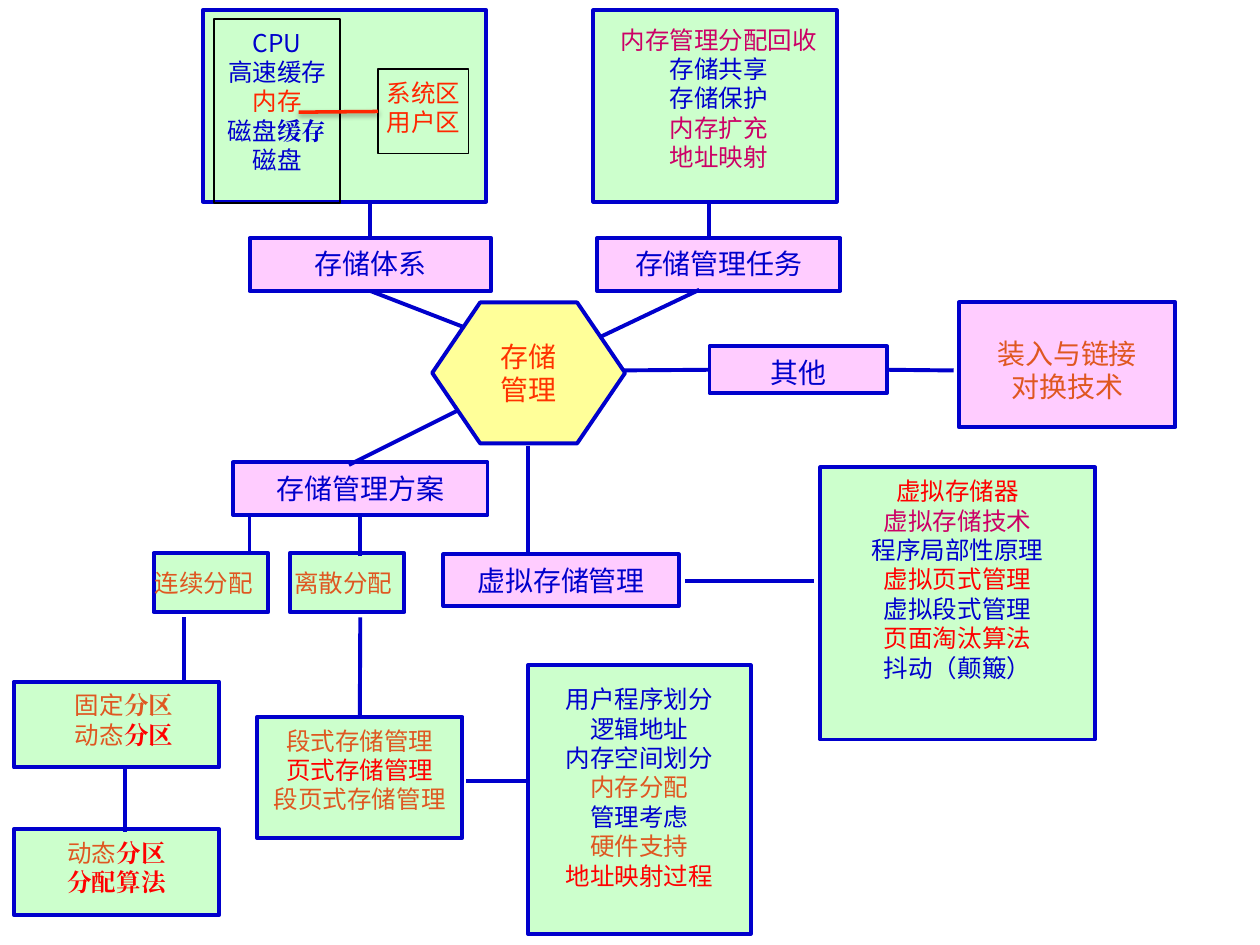
from dataclasses import dataclass
from typing import NamedTuple, Optional, Union

from lxml import etree
from pptx import Presentation
from pptx.dml.color import RGBColor
from pptx.enum.shapes import MSO_CONNECTOR, MSO_SHAPE
from pptx.enum.text import MSO_ANCHOR, PP_ALIGN
from pptx.oxml.ns import qn
from pptx.util import Pt

RECTANGLE, HEXAGON = MSO_SHAPE.RECTANGLE, MSO_SHAPE.HEXAGON
STRAIGHT = MSO_CONNECTOR.STRAIGHT
TOP_ANCHOR, MIDDLE_ANCHOR = MSO_ANCHOR.TOP, MSO_ANCHOR.MIDDLE
CENTER = PP_ALIGN.CENTER
TOP, LEFT, BOTTOM, RIGHT = range(4)

BLUE, ORANGE, RED = "0000CC", "DF5721", "FF0000"
MAGENTA, SCARLET, VERMILION, BLACK = "CC0066", "FF2600", "FF3300", "000000"
GREEN, PINK, YELLOW = "CCFFCC", "FFCCFF", "FFFF99"
BODY_FONT, BOLD_FONT = "Noto Sans CJK SC", "Times New Roman"
LINE_HEIGHT = 1.2


class Run(NamedTuple):
    text: str
    color: str
    bold: bool = False


class Site(NamedTuple):
    box: str
    side: int


class Point(NamedTuple):
    x: float
    y: float


@dataclass
class Box:
    left: float
    top: float
    width: float
    height: float
    fill: Optional[str]
    lines: tuple = ()
    size: int = 14
    inset_top: float = 5
    inset_left: float = 3.6
    inset_right: float = 3.6
    outline: str = BLUE
    weight: float = 2.25
    preset: int = RECTANGLE
    anchor: int = TOP_ANCHOR


@dataclass
class Link:
    start: Union[Point, Site]
    end: Union[Point, Site]
    color: str = BLUE
    weight: float = 2.25
    shadow: bool = False


def plain(color: str, *texts: str) -> tuple:
    """One single-run line per text, all in one colour."""
    return tuple((Run(text, color),) for text in texts)


def topic(left: float, top: float, width: float, height: float, text: str) -> Box:
    return Box(left, top, width, height, PINK, plain(BLUE, text), size=16)


BOXES = {
    "paging": Box(146.9, 409.7, 117.4, 69.1, GREEN, plain(ORANGE, "段式存储管理")
                  + plain(RED, "页式存储管理") + plain(ORANGE, "段页式存储管理")),
    "virtual topics": Box(468.7, 267.1, 157, 155.5, GREEN,
                          plain(RED, "虚拟存储器") + plain(MAGENTA, "虚拟存储技术")
                          + plain(BLUE, "程序局部性原理") + plain(RED, "虚拟页式管理")
                          + plain(BLUE, "虚拟段式管理") + plain(RED, "页面淘汰算法")
                          + plain(BLUE, "抖动（颠簸）")),
    "paging topics": Box(301.7, 380.2, 127.4, 153.4, GREEN,
                         plain(BLUE, "用户程序划分", "逻辑地址", "内存空间划分")
                         + plain(ORANGE, "内存分配") + plain(BLUE, "管理考虑")
                         + plain(ORANGE, "硬件支持") + plain(RED, "地址映射过程"),
                         inset_top=10.8),
    "other topics": Box(547.9, 172.8, 123.8, 71.3, PINK,
                        plain(ORANGE, "装入与链接", "对换技术"), size=16, inset_top=19.4),
    "hierarchy frame": Box(115.9, 5.8, 162, 109.4, GREEN),
    "hierarchy levels": Box(122.4, 10.8, 72, 105.1, None,
                            plain(BLUE, "CPU", "高速缓存") + plain(SCARLET, "内存")
                            + ((Run("磁盘", BLUE), Run("缓存", BLUE, True)),)
                            + plain(BLUE, "磁盘"), outline=BLACK, weight=1),
    "memory areas": Box(216, 39.6, 51.8, 48.2, None,
                        plain(SCARLET, "系统区", "用户区"), outline=BLACK, weight=1),
    "tasks list": Box(339.1, 5.8, 139, 109.4, GREEN,
                      plain(MAGENTA, "内存管理分配回收") + plain(BLUE, "存储共享", "存储保护")
                      + plain(MAGENTA, "内存扩充", "地址映射"), inset_top=8.2, inset_left=8),
    "hierarchy": topic(142.6, 136.1, 138.2, 30.2, "存储体系"),
    "tasks": topic(341.3, 136.1, 139, 30.2, "存储管理任务"),
    "schemes": topic(133.2, 264.2, 145.4, 30.2, "存储管理方案"),
    "virtual": topic(253.4, 316.8, 134.6, 29.5, "虚拟存储管理"),
    "other": topic(405.4, 198, 101.5, 26.6, "其他"),
    "contiguous": Box(87.8, 316.1, 65.5, 33.8, GREEN, plain(ORANGE, "连续分配"),
                      inset_top=8.6, inset_left=0, inset_right=8),
    "discrete": Box(165.6, 316.1, 65.5, 33.8, GREEN, plain(ORANGE, "离散分配"),
                    inset_top=8.6, inset_left=0, inset_right=4.4),
    "partitions": Box(7.9, 389.5, 117.4, 49, GREEN,
                      ((Run("固定", ORANGE), Run("分区", ORANGE, True)),
                       (Run("动态", ORANGE), Run("分区", RED, True))), inset_left=12.2),
    "algorithms": Box(7.9, 473.8, 117.4, 49, GREEN,
                      ((Run("动态", ORANGE), Run("分区", RED, True)),
                       (Run("分配算法", RED, True),))),
}
HUB = Box(247, 172.8, 110.2, 80.6, YELLOW, plain(VERMILION, "存储", "管理"), size=16,
          inset_top=3.6, preset=HEXAGON, anchor=MIDDLE_ANCHOR)

LINKS = [
    Link(Point(391.7, 331.9), Point(465.1, 331.9)),
    Link(Site("schemes", BOTTOM), Point(205.9, 317.5)),
    Link(Site("paging", TOP), Point(205.9, 352.8)),
    Link(Site("hierarchy", BOTTOM), Point(284.4, 194.4)),
    Link(Point(399.6, 165.6), Point(339.1, 194.4)),
    Link(Point(199.4, 265.7), Point(284.4, 223.2)),
    Link(Point(350.6, 211.7), Site("other", LEFT)),
    Link(Point(211.7, 115.2), Site("hierarchy", TOP)),
    Link(Point(405.4, 114.5), Point(405.4, 136.1)),
    Link(Site("other", RIGHT), Point(545, 211.7)),
    Link(Point(170.6, 64.1), Site("memory areas", LEFT), SCARLET, 2, True),
    Link(Point(142.6, 295.2), Point(142.6, 316.1)),
    Link(Point(105.1, 388.8), Point(105.1, 352.8)),
    Link(Point(301.7, 254.9), Point(301.7, 316.1)),
    Link(Point(266.4, 446.4), Point(302.4, 446.4)),
    Link(Point(71.3, 475.2), Point(71.3, 439.2)),
]


def rgb(value: str) -> RGBColor:
    return RGBColor.from_string(value)


def set_line(shape, color: str, weight: float) -> None:
    shape.line.color.rgb = rgb(color)
    shape.line.width = Pt(weight)


def add_run(paragraph, part: Run, size: int) -> None:
    run = paragraph.add_run()
    run.text = part.text
    typeface = BOLD_FONT if part.bold else BODY_FONT
    for name, value in {"size": Pt(size), "bold": part.bold, "name": typeface}.items():
        setattr(run.font, name, value)
    run.font.color.rgb = rgb(part.color)
    etree.SubElement(run.font._element, qn("a:ea"), typeface=typeface)


def add_box(slide, box: Box):
    shape = slide.shapes.add_shape(box.preset, Pt(box.left), Pt(box.top),
                                   Pt(box.width), Pt(box.height))
    shape.shadow.inherit = False
    set_line(shape, box.outline, box.weight)
    if box.fill:
        shape.fill.solid()
        shape.fill.fore_color.rgb = rgb(box.fill)
    else:
        shape.fill.background()
    if box.preset == HEXAGON:
        shape.adjustments[0] = 0.34
    frame = shape.text_frame
    frame_format = {"word_wrap": True, "vertical_anchor": box.anchor,
                    "margin_left": Pt(box.inset_left), "margin_right": Pt(box.inset_right),
                    "margin_top": Pt(box.inset_top), "margin_bottom": Pt(3.6)}
    for name, value in frame_format.items():
        setattr(frame, name, value)
    for index, line in enumerate(box.lines):
        paragraph = frame.add_paragraph() if index else frame.paragraphs[0]
        paragraph.alignment = CENTER
        paragraph.line_spacing = Pt(box.size * LINE_HEIGHT)
        for part in line:
            add_run(paragraph, part, box.size)
    return shape


def add_link(slide, link: Link, shapes: dict) -> None:
    """Draw a link, joining each end that names a side of a box."""
    points = [Point(0, 0) if isinstance(end, Site) else end
              for end in (link.start, link.end)]
    connector = slide.shapes.add_connector(
        STRAIGHT, *(Pt(value) for point in points for value in point))
    for end, join in ((link.start, connector.begin_connect),
                      (link.end, connector.end_connect)):
        if isinstance(end, Site):
            join(shapes[end.box], end.side)
    set_line(connector, link.color, link.weight)
    effects = etree.SubElement(connector._element.spPr, qn("a:effectLst"))
    if link.shadow:
        shadow = etree.SubElement(effects, qn("a:outerShdw"), blurRad=str(Pt(3)),
                                  dist=str(Pt(1.6)), dir="5400000", rotWithShape="0")
        tint = etree.SubElement(shadow, qn("a:srgbClr"), val=BLACK)
        etree.SubElement(tint, qn("a:alpha"), val="38000")


def main() -> None:
    presentation = Presentation()
    presentation.slide_width, presentation.slide_height = Pt(720), Pt(540)
    slide = presentation.slides.add_slide(presentation.slide_layouts[6])
    shapes = {name: add_box(slide, box) for name, box in BOXES.items()}
    for link in LINKS:
        add_link(slide, link, shapes)
    add_box(slide, HUB)
    presentation.save("out.pptx")


if __name__ == "__main__":
    main()
